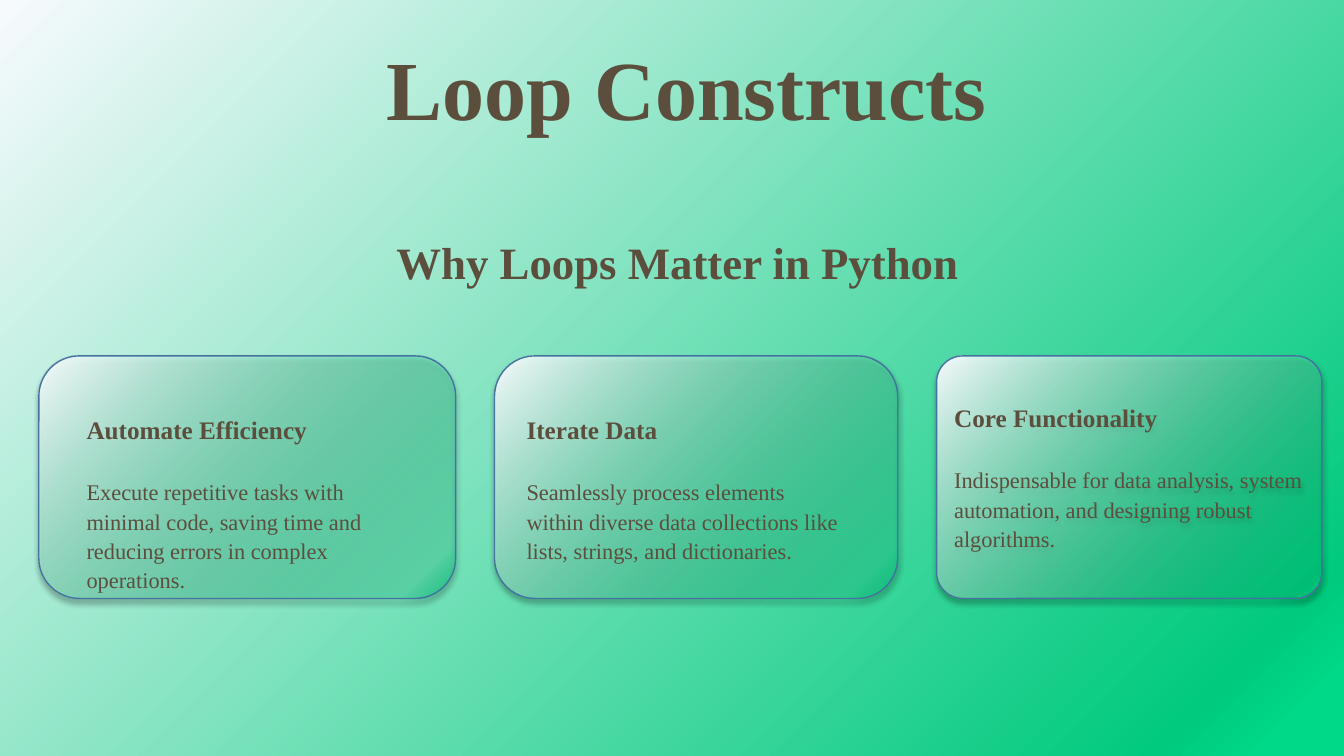
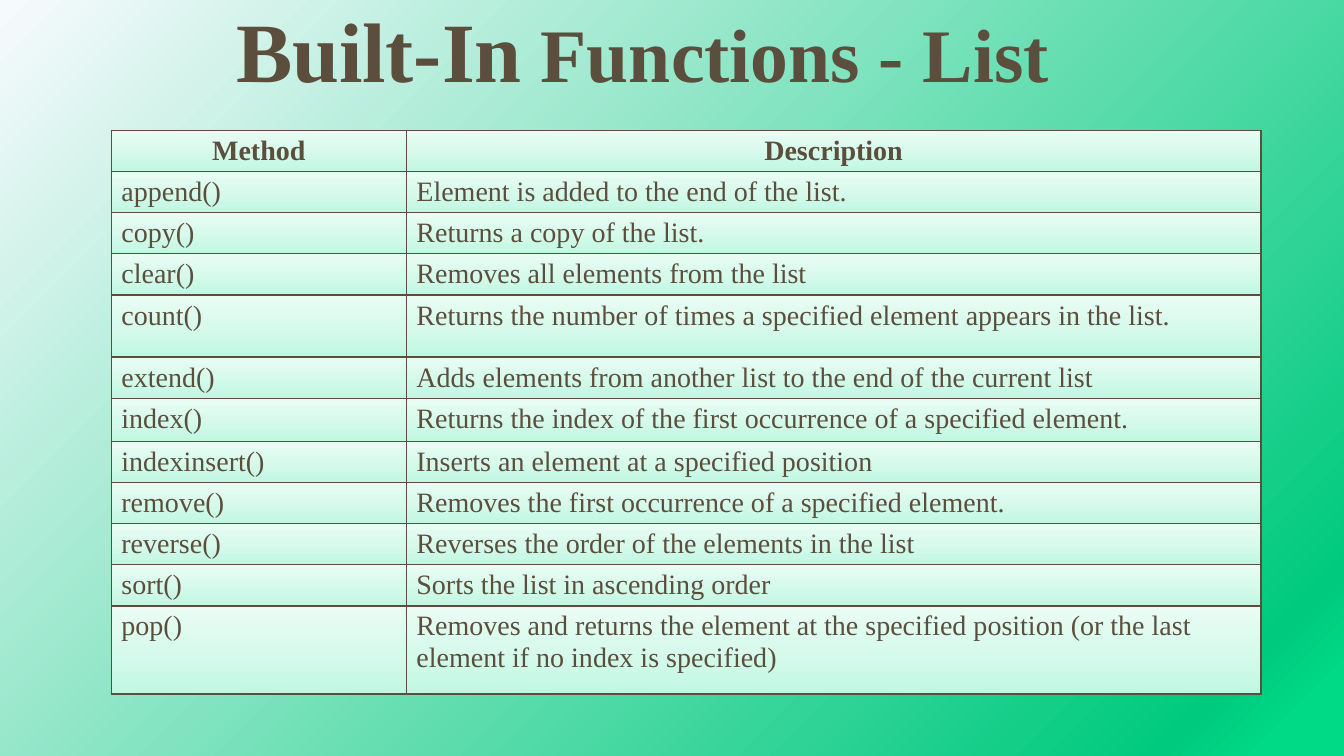
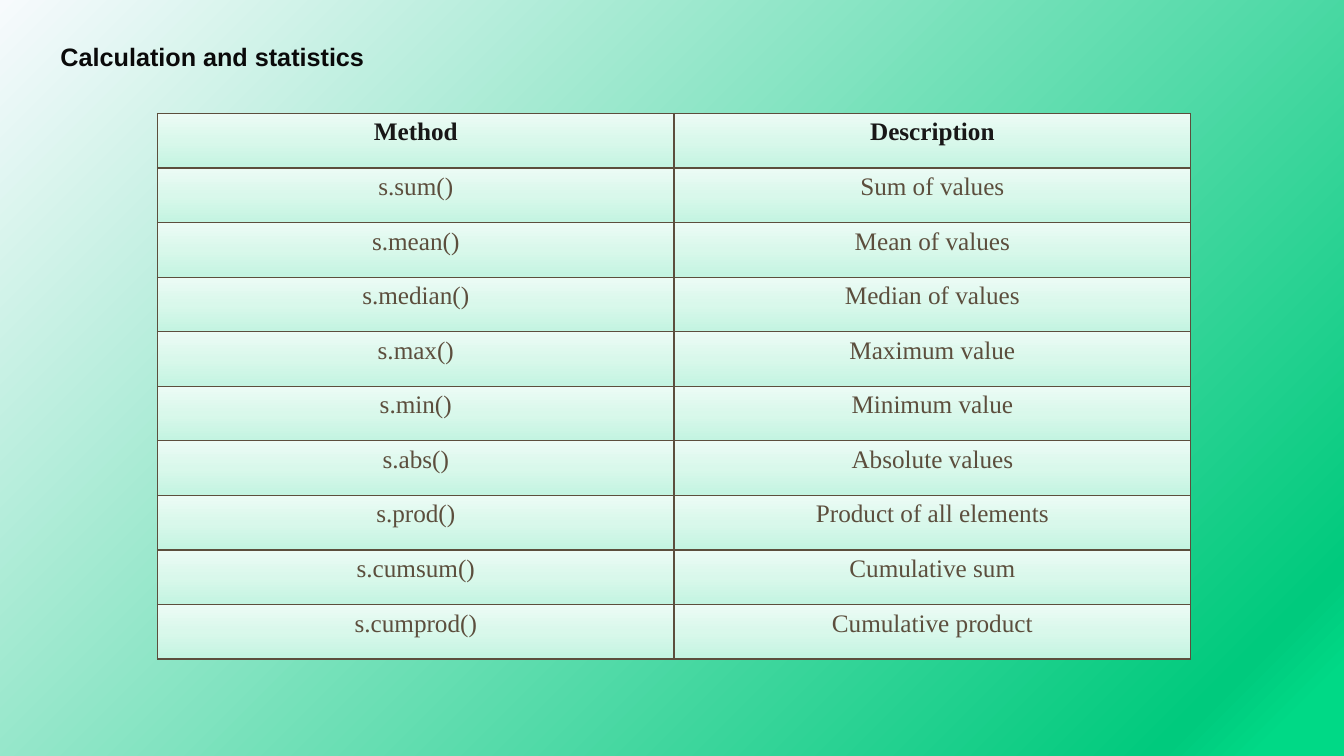
"""Build three slides on Python loops, list methods and series statistics."""
import pptx
import pptx.dml.color
import pptx.enum.dml
import pptx.enum.shapes
import pptx.enum.text
import pptx.oxml
import pptx.oxml.ns
import pptx.util

PX = 9525
BROWN, BLACK, HEADER, CARD_LINE = "5C4E3D", "0A0A0A", "181717", "43739E"
SERIF, SANS = "Times New Roman", "Arial"
GREEN_FADE = [(0, "F7FAFD", 100), (91, "00CA7D", 16), (96, "00D986", 45), (100, "00D986", 100)]
LIST_FADE = [(0, "C0F7E2", 100), (50, "D7FAEC", 100), (100, "EBFCF5", 100)]
STATS_FADE = [(0, "C3F4E1", 100), (50, "D9F8EB", 100), (100, "ECFBF5", 100)]
CARD_TOP, CARD_HEIGHT, CARD_GAP = 339, 231, 37
CENTER = pptx.enum.text.PP_ALIGN.CENTER
LEFT = pptx.enum.text.PP_ALIGN.LEFT
TOP = pptx.enum.text.MSO_ANCHOR.TOP
MIDDLE = pptx.enum.text.MSO_ANCHOR.MIDDLE
BOTTOM = pptx.enum.text.MSO_ANCHOR.BOTTOM

CARDS = [
    (397, 0.1667, 73, "Automate Efficiency",
     "Execute repetitive tasks with minimal code, saving time and reducing errors "
     "in complex operations."),
    (384, 0.1667, 492, "Iterate Data",
     "Seamlessly process elements within diverse data collections like lists, "
     "strings, and dictionaries."),
    (367, 0.108, None, "Core Functionality",
     "Indispensable for data analysis, system automation, and designing robust algorithms."),
]
LIST_METHODS = [
    ("Method", "Description"),
    ("append()", "Element is added to the end of the list."),
    ("copy()", "Returns a copy of the list."),
    ("clear()", "Removes all elements from the list"),
    ("count()", "Returns the number of times a specified element appears in the list."),
    ("extend()", "Adds elements from another list to the end of the current list"),
    ("index()", "Returns the index of the first occurrence of a specified element."),
    ("indexinsert()", "Inserts an element at a specified position"),
    ("remove()", "Removes the first occurrence of a specified element."),
    ("reverse()", "Reverses the order of the elements in the list"),
    ("sort()", "Sorts the list in ascending order"),
    ("pop()", "Removes and returns the element at the specified position "
              "(or the last element if no index is specified)"),
]
STATISTICS = [
    ("Method", "Description"),
    ("s.sum()", "Sum of values"),
    ("s.mean()", "Mean of values"),
    ("s.median()", "Median of values"),
    ("s.max()", "Maximum value"),
    ("s.min()", "Minimum value"),
    ("s.abs()", "Absolute values"),
    ("s.prod()", "Product of all elements"),
    ("s.cumsum()", "Cumulative sum"),
    ("s.cumprod()", "Cumulative product"),
]


def px(*values):
    """Turn whole pixels into EMU lengths."""
    return [pptx.util.Emu(value * PX) for value in values]


def rgb(color):
    """Turn a hex string into a colour."""
    return pptx.dml.color.RGBColor.from_string(color)


def xml(text):
    """Parse a DrawingML fragment."""
    ns = pptx.oxml.ns.nsdecls("a")
    return pptx.oxml.parse_xml(text.replace(" ", f" {ns} ", 1))


def set_format(obj, values):
    """Set each named attribute on an object."""
    for name, value in values.items():
        setattr(obj, name, value)


def set_gradient(fill, properties, stops, angle):
    """Fill with gradient stops of (position, colour, opacity)."""
    fill.gradient()
    fill.gradient_angle = angle
    gs_list = properties.find(pptx.oxml.ns.qn("a:gradFill")).find(pptx.oxml.ns.qn("a:gsLst"))
    gs_list.clear()
    for position, color, opacity in stops:
        gs_list.append(xml(
            f'<a:gs pos="{position * 1000}"><a:srgbClr val="{color}">'
            f'<a:alpha val="{opacity * 1000}"/></a:srgbClr></a:gs>'))


def add_run(p, text, size, bold=True, color=BROWN, font=SERIF):
    """Add a formatted run to a paragraph."""
    r = p.add_run()
    r.text = text
    set_format(r.font, {"size": pptx.util.Pt(size), "bold": bold, "name": font})
    r.font.color.rgb = rgb(color)


def add_title(s, box, runs, align=CENTER, anchor=BOTTOM, spacing=0.9, **style):
    """Move and format the title placeholder."""
    sp = s.shapes.title
    set_format(sp, dict(zip(("left", "top", "width", "height"), px(*box))))
    tf = sp.text_frame
    set_format(tf, {"auto_size": pptx.enum.text.MSO_AUTO_SIZE.NONE,
                    "vertical_anchor": anchor, "word_wrap": True})
    p = tf.paragraphs[0]
    set_format(p, {"alignment": align, "line_spacing": spacing})
    for text, size in runs:
        add_run(p, text, size, **style)


def add_text_box(s, *box):
    """Add a wrapping text box and return its frame."""
    tf = s.shapes.add_textbox(*px(*box)).text_frame
    tf.word_wrap = True
    return tf


def add_card(s, x, width, corner):
    """Add a translucent rounded card and return its text frame."""
    sp = s.shapes.add_shape(pptx.enum.shapes.MSO_SHAPE.ROUNDED_RECTANGLE,
                            *px(x, CARD_TOP, width, CARD_HEIGHT))
    sp.adjustments[0] = corner
    properties = sp._element.spPr
    set_gradient(sp.fill, properties, GREEN_FADE, 315)
    sp.line.color.rgb = rgb(CARD_LINE)
    sp.line.width = pptx.util.Pt(1)
    sp.shadow.inherit = False
    properties.find(pptx.oxml.ns.qn("a:effectLst")).append(xml(
        '<a:outerShdw blurRad="50800" dist="38100" dir="5400000" algn="t" rotWithShape="0">'
        '<a:srgbClr val="000000"><a:alpha val="40000"/></a:srgbClr></a:outerShdw>'))
    set_format(sp.text_frame, {"word_wrap": True, "vertical_anchor": MIDDLE})
    return sp.text_frame


def write_card(tf, heading, body):
    """Write a bold heading and a body paragraph."""
    p = tf.paragraphs[0]
    p.alignment = LEFT
    add_run(p, heading, 18)
    p = tf.add_paragraph()
    set_format(p, {"alignment": LEFT, "line_spacing": 1.09,
                   "space_before": pptx.util.Pt(22.5)})
    add_run(p, body, 16, bold=False)


def add_borders(cell):
    """Draw a thin line on every side of a cell."""
    properties = cell._tc.get_or_add_tcPr()
    for i, side in enumerate("LRTB"):
        properties.insert(i, xml(
            f'<a:ln{side} w="12700"><a:solidFill><a:srgbClr val="{BROWN}"/>'
            f'</a:solidFill></a:ln{side}>'))


def add_method_table(s, at, widths, heights, rows, stops, size, header_color, body_align):
    """Add a bordered gradient table with a bold centred header."""
    frame = s.shapes.add_table(len(rows), len(widths),
                               *px(*at, sum(widths), sum(heights)))
    table = frame.table
    table.horz_banding = False
    for column, width in zip(table.columns, px(*widths)):
        column.width = width
    for row, height in zip(table.rows, px(*heights)):
        row.height = height
    for i, row in enumerate(rows):
        header = i == 0
        for j, text in enumerate(row):
            cell = table.cell(i, j)
            set_gradient(cell.fill, cell._tc.get_or_add_tcPr(), stops, 90)
            add_borders(cell)
            p = cell.text_frame.paragraphs[0]
            p.alignment = CENTER if header else body_align
            add_run(p, text, size, header, header_color if header else BROWN)


def build_loops(s):
    """Fill the slide about loop constructs."""
    add_title(s, (174, 40, 960, 97), [("Loop Constructs", 60)])
    tf = add_text_box(s, 368, 219, 600, 61)
    add_run(tf.paragraphs[0], "Why Loops Matter in Python", 32)
    x = CARD_GAP
    for width, corner, text_left, heading, body in CARDS:
        tf = add_card(s, x, width, corner)
        if text_left is not None:
            tf = add_text_box(s, text_left, 390, 324, 171)
        write_card(tf, heading, body)
        x += width + CARD_GAP


def build_list_methods(s):
    """Fill the slide about list methods."""
    add_title(s, (11, 27, 1202, 74), [("Built-In", 60.3), (" Functions - List", 54)])
    heights = [34] * 4 + [59, 34, 41, 35] + [34] * 3 + [84]
    add_method_table(s, (106, 124), (281, 814), heights, LIST_METHODS,
                     LIST_FADE, 20, BROWN, LEFT)


def build_statistics(s):
    """Fill the slide about calculation methods."""
    add_title(s, (48, 39, 312, 34), [("Calculation and statistics", 18)], align=LEFT,
              anchor=TOP, spacing=pptx.util.Pt(18), color=BLACK, font=SANS)
    add_method_table(s, (150, 108), (492, 492), [52] * len(STATISTICS), STATISTICS,
                     STATS_FADE, 18, HEADER, CENTER)


def main():
    """Build and save the presentation."""
    prs = pptx.Presentation()
    prs.slide_width, prs.slide_height = px(1280, 720)
    master = prs.slide_master
    fill = master.background.fill
    set_gradient(fill, master._element.xpath(".//p:bgPr")[0], GREEN_FADE, 315)
    for build in (build_loops, build_list_methods, build_statistics):
        build(prs.slides.add_slide(prs.slide_layouts[5]))
    prs.save("out.pptx")


if __name__ == "__main__":
    main()
